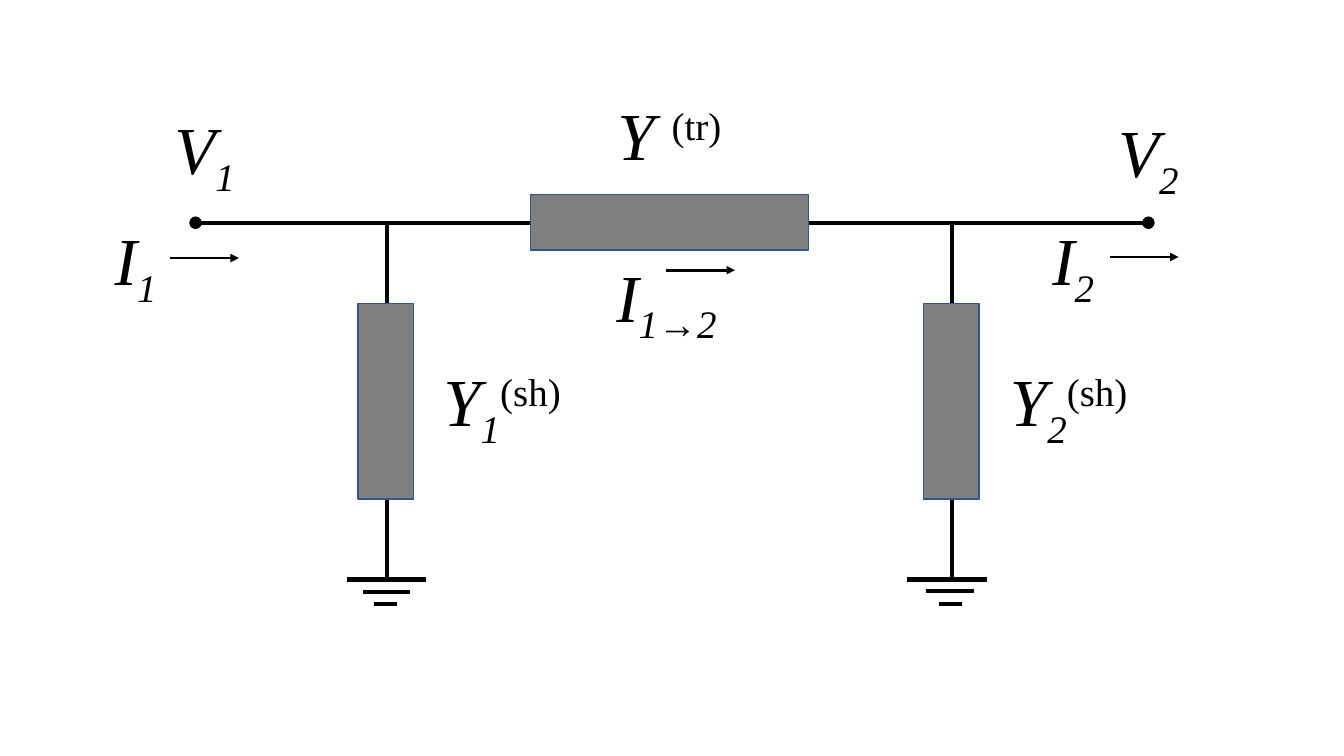
from lxml.etree import SubElement
from pptx import Presentation
from pptx.dml.color import RGBColor
from pptx.enum.shapes import MSO_CONNECTOR, MSO_SHAPE
from pptx.enum.text import MSO_AUTO_SIZE, PP_ALIGN
from pptx.oxml.ns import qn
from pptx.util import Pt

PX = 9144
SLIDE_SIZE = (1333, 750)
BLACK, GREY, BLUE = "000000", "808080", "325491"
BUS_Y, GROUND_Y = 221, 575
BUS_ENDS = (194, 1139)
BRANCHES = [
    {"x": 384, "admittance": 355, "bars": [(344, 575, 79), (360, 587, 47), (371, 599, 23)]},
    {"x": 944, "admittance": 916, "bars": [(900, 575, 79), (918, 586, 48), (931, 599, 23)]},
]
SERIES_ADMITTANCE = (526, 193, 276, 55)
SHUNT_TOP, SHUNT_SIZE = 301, (55, 194)
CURRENT_ARROWS = [(169, 256), (1101, 255), (661, 268)]
ARROW_LENGTH = 68
LABEL_HEIGHT = 91
LABELS = [
    (161, 102, 84, "V", "1", ""),
    (102, 212, 65, "I", "1", ""),
    (1032, 212, 65, "I", "2", ""),
    (1097, 105, 84, "V", "2", ""),
    (598, 88, 132, "Y ", "", "(tr)"),
    (423, 352, 150, "Y", "1", "(sh)"),
    (985, 352, 150, "Y", "2", "(sh)"),
    (595, 248, 132, "I", "1→2", ""),
]
LABEL_FONT = {"name": "Times New Roman", "size": Pt(48)}


def color(value):
    """Turn a hex string into a colour."""
    return RGBColor.from_string(value)


def emu(*lengths):
    """Scale px lengths to EMU."""
    return [length * PX for length in lengths]


def add_wire(page, start, end, width=3, **ends):
    """Draw a black line with optional headEnd and tailEnd types."""
    wire = page.shapes.add_connector(MSO_CONNECTOR.STRAIGHT, *emu(*start, *end))
    wire.line.color.rgb = color(BLACK)
    wire.line.width = Pt(width)
    outline = wire.line._get_or_add_ln()
    for tag, kind in ends.items():
        SubElement(outline, qn(f"a:{tag}"), type=kind)
    SubElement(wire._element.spPr, qn("a:effectLst"))


def add_admittance(page, left, top, width, height):
    """Draw one grey circuit element."""
    block = page.shapes.add_shape(MSO_SHAPE.RECTANGLE, *emu(left, top, width, height))
    block.shadow.inherit = False
    block.fill.solid()
    block.fill.fore_color.rgb = color(GREY)
    block.line.color.rgb = color(BLUE)
    block.line.width = Pt(1)


def add_label(page, left, top, width, symbol, subscript, superscript):
    """Write a symbol with its subscript and upright superscript."""
    box = page.shapes.add_textbox(*emu(left, top, width, LABEL_HEIGHT))
    frame = box.text_frame
    frame.word_wrap = False
    frame.auto_size = MSO_AUTO_SIZE.SHAPE_TO_FIT_TEXT
    para = frame.paragraphs[0]
    para.alignment = PP_ALIGN.CENTER
    parts = [(symbol, True, 0), (subscript, True, -25), (superscript, False, 30)]
    for text, italic, baseline in parts:
        if not text:
            continue
        span = para.add_run()
        span.text = text
        for name, value in {**LABEL_FONT, "italic": italic}.items():
            setattr(span.font, name, value)
        span.font.color.rgb = color(BLACK)
        if baseline:
            span._r.get_or_add_rPr().set("baseline", str(baseline * 1000))


def main():
    """Build the pi-circuit slide."""
    deck = Presentation()
    deck.slide_width, deck.slide_height = emu(*SLIDE_SIZE)
    page = deck.slides.add_slide(deck.slide_layouts[6])
    start, end = BUS_ENDS
    add_wire(page, (start, BUS_Y), (end, BUS_Y), headEnd="oval", tailEnd="oval")
    add_admittance(page, *SERIES_ADMITTANCE)
    for branch in BRANCHES:
        add_wire(page, (branch["x"], GROUND_Y), (branch["x"], BUS_Y))
        for left, top, width in branch["bars"]:
            add_wire(page, (left, top), (left + width, top))
        add_admittance(page, branch["admittance"], SHUNT_TOP, *SHUNT_SIZE)
    for label in LABELS:
        add_label(page, *label)
    for left, top in CURRENT_ARROWS:
        add_wire(page, (left, top), (left + ARROW_LENGTH, top), 2, tailEnd="triangle")
    deck.save("out.pptx")


if __name__ == "__main__":
    main()
